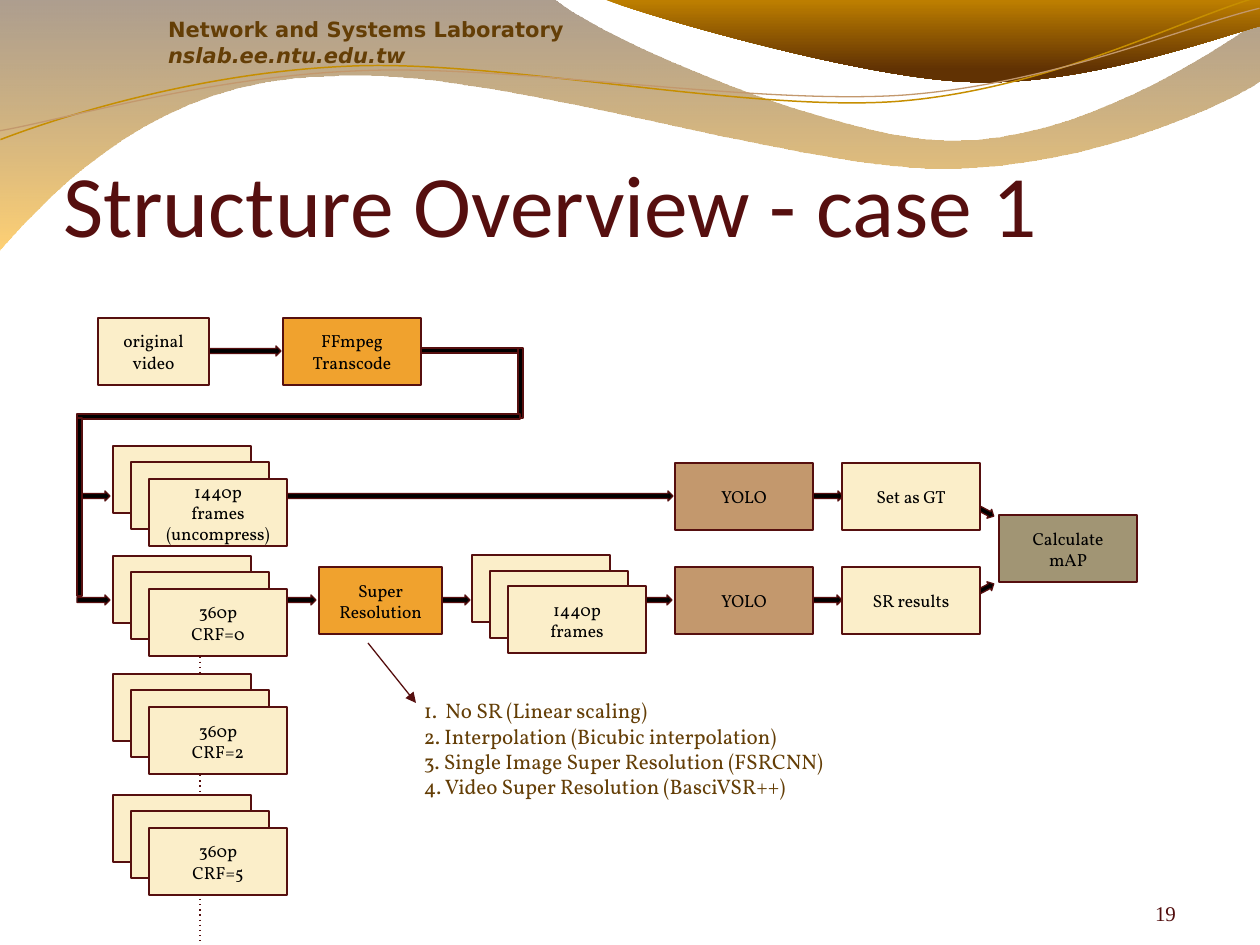
import lxml.etree
import pptx
import pptx.dml.color
import pptx.enum.shapes
import pptx.enum.text
import pptx.oxml.ns
import pptx.util

RGB = pptx.dml.color.RGBColor
SHAPE = pptx.enum.shapes.MSO_SHAPE
ALIGN = pptx.enum.text.PP_ALIGN
ANCHOR = pptx.enum.text.MSO_ANCHOR
qn = pptx.oxml.ns.qn

BLACK = RGB(0x00, 0x00, 0x00)
MAROON = RGB(0x56, 0x0F, 0x0F)
DARK_MAROON = RGB(0x52, 0x0E, 0x0E)
BROWN = RGB(0x64, 0x3E, 0x06)
CREAM = RGB(0xFB, 0xEE, 0xC9)
ORANGE = RGB(0xF0, 0xA2, 0x2E)
TAN = RGB(0xC3, 0x98, 0x6D)
OLIVE = RGB(0xA1, 0x95, 0x74)
GOLD = RGB(0xC6, 0x8E, 0x00)
WAVE_STOPS = [(0, RGB(0x4A, 0x28, 0x06), 45), (1, RGB(0xFF, 0xAB, 0x00), 55)]
CORNER_STOPS = [(0, RGB(0xBF, 0x80, 0x00), 100), (0.8, RGB(0x61, 0x32, 0x03), 100)]

SCALE = 914400 / 126
BOX_WIDTH, BOX_HEIGHT = 138, 67
ARROW_HEIGHT, BAR = 10, 5
CURVE_ANGLE = 357.3

TITLE = "Structure Overview - case 1"
HEADER = ["Network and Systems Laboratory", "nslab.ee.ntu.edu.tw"]
PAGE = "19"
METHODS = [
    "1.  No SR (Linear scaling)",
    "2. Interpolation (Bicubic interpolation)",
    "3. Single Image Super Resolution (FSRCNN)",
    "4. Video Super Resolution (BasciVSR++)",
]

# Each segment holds one point for a line, or three for a Bezier curve.
WAVE = [
    [(0, 0)], [(554, -1)],
    [(600, 38), (837, 141), (955, 141)], [(1075, 141), (1207, 58), (1260, 20)],
    [(1261, 81)],
    [(1239, 98), (1096, 169), (940, 169)], [(784, 168), (481, 63), (324, 77)],
    [(163, 79), (58, 185), (-1, 252)],
]
CORNER = [
    [(604, -1)], [(641, 14), (859, 78), (969, 82)],
    [(1079, 87), (1211, 40), (1260, 26)], [(1260, 0)],
]
GOLD_CURVE = [
    [(-2, 110)], [(58, 90), (200, 52), (350, 53)],
    [(499, 53), (745, 118), (896, 114)], [(1049, 109), (1184, 45), (1260, 27)],
]
TAN_CURVE = [
    [(-2, 101)], [(57, 94), (207, 57), (357, 58)],
    [(509, 58), (750, 111), (902, 108)], [(1052, 104), (1188, 52), (1262, 38)],
]

ROW_TOP, ROW_GT, ROW_SR = 351, 496, 600
ARROWS = [
    (208, ROW_TOP, 73, 0),
    (77, ROW_GT, 33, 0), (287, ROW_GT, 386, 0), (767, ROW_GT, 76, 0),
    (77, ROW_SR, 33, 0), (273, ROW_SR, 43, 0), (427, ROW_SR, 43, 0),
    (629, ROW_SR, 43, 0), (766, ROW_SR, 76, 0),
    (925, ROW_GT + 3, 73, 28), (925, ROW_SR + 1, 73, 332),
]
BARS = [
    (415, 348, 104, BAR), (518, 348, BAR, 70),
    (77, 414, 443, BAR), (77, 418, BAR, 178),
]
BOXES = [
    (98, 318, 111, CREAM, ["original video"]),
    (283, 318, BOX_WIDTH, ORANGE, ["FFmpeg", "Transcode"]),
    (319, 567, 123, ORANGE, ["Super Resolution"]),
    (675, 463, BOX_WIDTH, TAN, ["YOLO"]),
    (675, 567, BOX_WIDTH, TAN, ["YOLO"]),
    (842, 463, BOX_WIDTH, CREAM, ["Set as GT"]),
    (842, 567, BOX_WIDTH, CREAM, ["SR results"]),
    (999, 515, BOX_WIDTH, OLIVE, ["Calculate", "mAP"]),
]
STACKS = [
    (113, 446, 33, ["1440p", "frames", "(uncompress)"]),
    (113, 556, 33, ["360p", "CRF=0"]),
    (472, 555, 31, ["1440p", "frames"]),
    (113, 674, 33, ["360p", "CRF=2"]),
    (113, 795, 33, ["360p", "CRF=5"]),
]


def px(*lengths):
    return [round(length * SCALE) for length in lengths]


def add_outline(slide, segments, closed):
    corners = [px(*point) for segment in segments for point in segment]
    builder = slide.shapes.build_freeform(*corners[0], scale=1.0)
    builder.add_line_segments(corners[1:], close=closed)
    shape = builder.convert_to_shape()
    shape.shadow.inherit = False
    lines = iter(list(shape._element.iter(qn("a:lnTo"))))
    for segment in segments[1:]:
        steps = [next(lines) for point in segment]
        if len(steps) == 3:
            curve = lxml.etree.Element(qn("a:cubicBezTo"))
            steps[0].addprevious(curve)
            for step in steps:
                curve.append(step[0])
                step.getparent().remove(step)
    return shape


def add_gradient_area(slide, segments, stops):
    shape = add_outline(slide, segments, True)
    shape.line.fill.background()
    shape.fill.gradient()
    shape.fill.gradient_angle = 270
    for stop, (position, color, opacity) in zip(shape.fill.gradient_stops, stops):
        stop.position = position
        stop.color.rgb = color
    colors = shape._element.spPr.iter(qn("a:srgbClr"))
    for element, (position, color, opacity) in zip(colors, stops):
        lxml.etree.SubElement(element, qn("a:alpha"), val=str(opacity * 1000))


def add_curve(slide, segments, color, width):
    shape = add_outline(slide, segments, False)
    shape.rotation = CURVE_ANGLE
    shape.fill.background()
    shape.line.color.rgb = color
    shape.line.width = pptx.util.Pt(width)


def write(shape, lines, size, font, color, align=ALIGN.LEFT, anchor=ANCHOR.TOP, insets=(13, 13, 13, 13)):
    frame = shape.text_frame
    frame.word_wrap = True
    frame.auto_size = pptx.enum.text.MSO_AUTO_SIZE.NONE
    frame.vertical_anchor = anchor
    frame.margin_left, frame.margin_top, frame.margin_right, frame.margin_bottom = px(*insets)
    frame.text = "\n".join(lines)
    for paragraph in frame.paragraphs:
        paragraph.alignment = align
        paragraph.space_before = pptx.util.Pt(0)
        paragraph.font.size = pptx.util.Pt(size)
        paragraph.font.name = font
        paragraph.font.color.rgb = color
    return frame.paragraphs


def add_block(slide, kind, left, top, width, height, color, lines=()):
    shape = slide.shapes.add_shape(kind, *px(left, top, width, height))
    shape.shadow.inherit = False
    shape.fill.solid()
    shape.fill.fore_color.rgb = color
    shape.line.color.rgb = MAROON
    shape.line.width = pptx.util.Pt(0.75)
    if lines:
        write(shape, lines, 10, "Vollkorn", BLACK, ALIGN.CENTER, ANCHOR.MIDDLE)
    return shape


def add_line(slide, ends, detail, **attributes):
    connector = slide.shapes.add_connector(pptx.enum.shapes.MSO_CONNECTOR.STRAIGHT, *px(*ends))
    connector.line.color.rgb = MAROON
    connector.line.width = pptx.util.Pt(0.75)
    lxml.etree.SubElement(connector._element.spPr.find(qn("a:ln")), qn(detail), **attributes)
    lxml.etree.SubElement(connector._element.spPr, qn("a:effectLst"))


def place(slide, shape, *box):
    shape.left, shape.top, shape.width, shape.height = px(*box)
    slide.shapes._spTree.append(shape._element)


def main():
    presentation = pptx.Presentation()
    presentation.slide_width, presentation.slide_height = px(1260, 945)
    slide = presentation.slides.add_slide(presentation.slide_layouts[1])
    title, body = slide.placeholders

    add_gradient_area(slide, WAVE, WAVE_STOPS)
    add_gradient_area(slide, CORNER, CORNER_STOPS)
    add_curve(slide, GOLD_CURVE, GOLD, 0.85)
    add_curve(slide, TAN_CURVE, TAN, 0.75)

    header = slide.shapes.add_textbox(*px(157, 11, 473, 62))
    name, address = write(header, HEADER, 12, "DejaVu Sans", BROWN, insets=(11, 6, 11, 6))
    name.font.bold = address.font.bold = address.font.italic = True

    add_line(slide, (200, 641, 200, 941), "a:prstDash", val="dot")
    place(slide, title, 63, 97, 1134, 158)
    write(title, [TITLE], 50, "Calibri", MAROON, anchor=ANCHOR.BOTTOM, insets=(0, 6, 0, 0))
    page = slide.shapes.add_textbox(*px(1071, 876, 105, 50))
    write(page, [PAGE], 12, "Times New Roman", DARK_MAROON, ALIGN.RIGHT, ANCHOR.BOTTOM, (0, 0, 0, 0))

    for left, middle, width, angle in ARROWS:
        arrow = add_block(slide, SHAPE.RIGHT_ARROW, left, middle - ARROW_HEIGHT / 2, width, ARROW_HEIGHT, BLACK)
        arrow.rotation = angle
    for bar in BARS:
        add_block(slide, SHAPE.RECTANGLE, *bar, BLACK)
    for left, top, width, color, lines in BOXES:
        add_block(slide, SHAPE.RECTANGLE, left, top, width, BOX_HEIGHT, color, lines)
    for left, top, drop, lines in STACKS:
        for right, down, text in ((0, 0, ()), (18, 16, ()), (36, drop, lines)):
            add_block(slide, SHAPE.RECTANGLE, left + right, top + down, BOX_WIDTH, BOX_HEIGHT, CREAM, text)

    add_line(slide, (368, 643, 416, 703), "a:tailEnd", type="triangle")
    place(slide, body, 411, 685, 442, 158)
    for paragraph in write(body, METHODS, 12, "Vollkorn", BROWN):
        properties = paragraph._p.get_or_add_pPr()
        properties.set("marL", "0")
        properties.set("indent", "0")
        bullet = lxml.etree.Element(qn("a:buNone"))
        properties.find(qn("a:defRPr")).addprevious(bullet)

    presentation.save("out.pptx")


if __name__ == "__main__":
    main()
